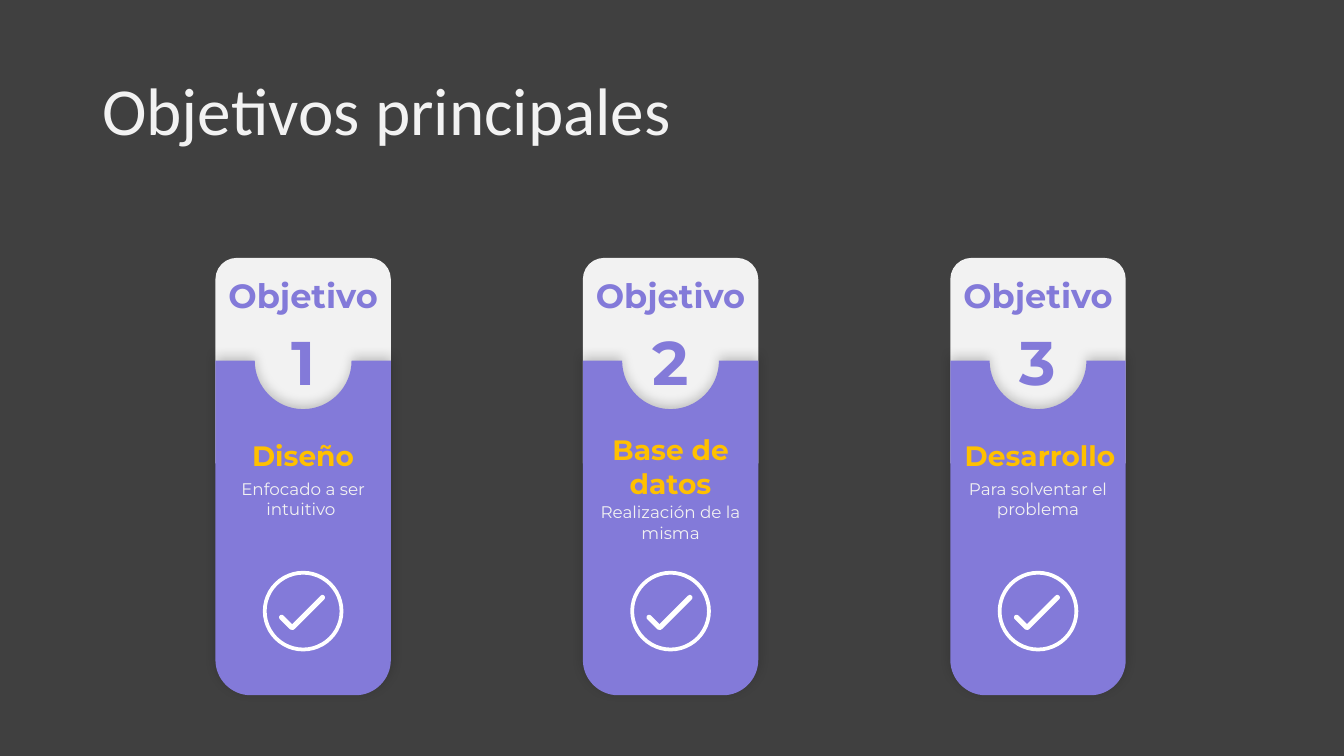
from lxml.etree import SubElement
from pptx import Presentation
from pptx.dml.color import RGBColor as RGB
from pptx.enum.shapes import MSO_SHAPE as SHAPE
from pptx.enum.text import MSO_ANCHOR as ANCHOR, MSO_AUTO_SIZE as FIT, PP_ALIGN as ALIGN
from pptx.oxml.ns import qn
from pptx.util import Cm, Pt

TITLE = "Objetivos principales"
LABEL = "Objetivo"
CARDS = [
    {"heading": "Diseño", "body": "Enfocado a ser intuitivo ",
     "heading_box": (0, 10.93, 4.42, 1.12), "body_box": (0, 11.94, 4.42, 1.27)},
    {"heading": "Base de datos", "body": "Realización de la misma",
     "heading_box": (0, 10.78, 4.42, 3.45), "body_box": (0, 12.53, 4.42, 2.24)},
    {"heading": "Desarrollo", "body": "Para solventar el problema",
     "heading_box": (0.05, 10.93, 4.93, 1.12), "body_box": (0, 11.94, 4.42, 1.27)},
]
THEME = {
    "background": RGB(0x40, 0x40, 0x40),
    "light": RGB(0xF2, 0xF2, 0xF2),
    "purple": RGB(0x83, 0x7A, 0xD9),
    "gold": RGB(0xFF, 0xC0, 0x00),
    "white": RGB(0xFF, 0xFF, 0xFF),
    "title_font": "Calibri", "font": "Montserrat",
    "title": 48, "number": 44, "label": 24, "heading": 20, "body": 12,
}

FIRST_CENTER, STEP = 7.64, 9.26
CARD_W, CARD_TOP, HEAD_H = 4.42, 6.5, 5.18
PANEL_TOP, PANEL_BOTTOM = 9.09, 17.52
NOTCH, CORNER = 1.22, 0.89
ROUNDNESS = 0.55
VERTICAL_START = {1: True, 2: False, 5: True, 7: False}
LABEL_BOX = (0, 6.8, 5, 1.27)
NUMBER_BOX = (0, 8.05, 2.49, 2.13)
RING, RING_Y = 2.03, 15.4
TICKS = [(-0.42, 15.68, 0.48, 135), (0.11, 15.43, 1.19, 225)]
TICK_W = 0.13


def add_text(text, cx, box, size, color, font=THEME["font"], bold=False, align=ALIGN.CENTER):
    dx, y, w, h = box
    tf = slide.shapes.add_textbox(Cm(cx + dx - w / 2), Cm(y), Cm(w), Cm(h)).text_frame
    tf.word_wrap = True
    tf.auto_size = FIT.SHAPE_TO_FIT_TEXT
    p = tf.paragraphs[0]
    p.text = text
    p.alignment = align
    p.font.name = font
    p.font.size = Pt(THEME[size])
    p.font.bold = bold
    p.font.color.rgb = THEME[color]
    return tf


def paint(sp, color):
    sp.shadow.inherit = False
    sp.fill.solid()
    sp.fill.fore_color.rgb = THEME[color]
    sp.line.fill.background()


def add_centered(kind, cx, cy, w, h, color, adjustments):
    sp = slide.shapes.add_shape(kind, Cm(cx - w / 2), Cm(cy - h / 2), Cm(w), Cm(h))
    for i, value in enumerate(adjustments):
        sp.adjustments[i] = value
    paint(sp, color)
    return sp


def round_segments(sp):
    outline = next(sp._element.iter(qn("a:path")))
    points = [(int(pt.get("x")), int(pt.get("y"))) for pt in outline.iter(qn("a:pt"))]
    lines = outline.findall(qn("a:lnTo"))
    for i, vertical in VERTICAL_START.items():
        start, end = points[i], points[i + 1]
        meeting = (start[0], end[1]) if vertical else (end[0], start[1])
        controls = [tuple(round(a + ROUNDNESS * (m - a)) for a, m in zip(anchor, meeting))
                    for anchor in (start, end)]
        curve = outline.makeelement(qn("a:cubicBezTo"))
        for x, y in [*controls, end]:
            SubElement(curve, qn("a:pt"), x=str(x), y=str(y))
        outline.replace(lines[i], curve)


def add_panel(cx):
    left, right = cx - CARD_W / 2, cx + CARD_W / 2
    low = PANEL_BOTTOM - CORNER
    anchors = [(left, PANEL_TOP), (cx - NOTCH, PANEL_TOP), (cx, PANEL_TOP + NOTCH),
               (cx + NOTCH, PANEL_TOP), (right, PANEL_TOP), (right, low),
               (right - CORNER, PANEL_BOTTOM), (left + CORNER, PANEL_BOTTOM), (left, low)]
    points = [(Cm(x), Cm(y)) for x, y in anchors]
    builder = slide.shapes.build_freeform(*points[0])
    builder.add_line_segments(points[1:])
    sp = builder.convert_to_shape()
    round_segments(sp)
    paint(sp, "purple")
    effects = sp._element.spPr.find(qn("a:effectLst"))
    shadow = SubElement(effects, qn("a:outerShdw"), blurRad=str(Pt(8)), dist=str(Pt(3)),
                        dir=str(270 * 60000), rotWithShape="0")
    tint = SubElement(shadow, qn("a:srgbClr"), val="000000")
    SubElement(tint, qn("a:alpha"), val="20000")


def add_card(number, card):
    cx = FIRST_CENTER + (number - 1) * STEP
    add_centered(SHAPE.ROUND_2_SAME_RECTANGLE, cx, CARD_TOP + HEAD_H / 2,
                 CARD_W, HEAD_H, "light", [0.121, 0])
    add_text(LABEL, cx, LABEL_BOX, "label", "purple", bold=True)
    add_text(str(number), cx, NUMBER_BOX, "number", "purple", bold=True)
    add_panel(cx)
    add_text(card["heading"], cx, card["heading_box"], "heading", "gold", bold=True)
    add_text(card["body"], cx, card["body_box"], "body", "light")
    add_centered(SHAPE.DONUT, cx, RING_Y, RING, RING, "white", [0.047])
    for dx, cy, length, angle in TICKS:
        tick = add_centered(SHAPE.ROUNDED_RECTANGLE, cx + dx, cy, TICK_W, length, "white", [0.5])
        tick.rotation = angle


prs = Presentation()
prs.slide_width, prs.slide_height = Cm(33.87), Cm(19.05)
slide = prs.slides.add_slide(prs.slide_layouts[6])
slide.background.fill.solid()
slide.background.fill.fore_color.rgb = THEME["background"]

title = add_text(TITLE, 16.93, (0, 1.03, 29.21, 3.68), "title", "light",
                 font=THEME["title_font"], align=ALIGN.LEFT)
title.auto_size = FIT.NONE
title.vertical_anchor = ANCHOR.MIDDLE
title.paragraphs[0].line_spacing = 0.9

for number, card in enumerate(CARDS, 1):
    add_card(number, card)

prs.save("out.pptx")
